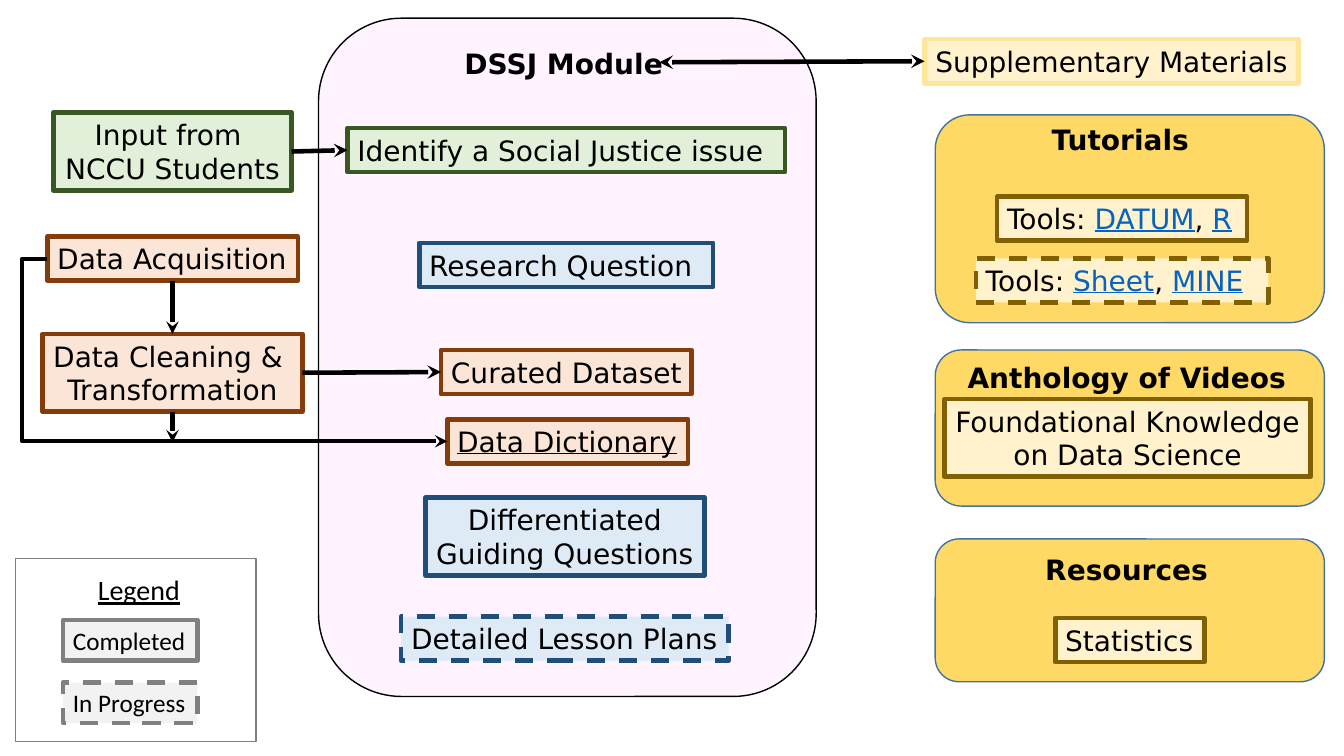
from lxml.etree import SubElement
from pptx import Presentation
from pptx.dml.color import RGBColor
from pptx.enum.dml import MSO_LINE
from pptx.enum.shapes import MSO_CONNECTOR as CONN, MSO_SHAPE as SHAPE
from pptx.enum.text import MSO_ANCHOR, MSO_AUTO_SIZE, PP_ALIGN
from pptx.oxml.ns import qn
from pptx.util import Pt

COLORS = {
    "black": "000000", "white": "FFFFFF", "link": "0563C1",
    "pink": "FFCCFF", "gold": "FFD966", "gold_edge": "43739E", "gray_edge": "808080",
}
# Box styles: fill, outline
STYLES = {
    "green": ("E2F0D9", "385723"),
    "orange": ("FBE5D6", "843C0B"),
    "blue": ("DEEBF7", "1F4E79"),
    "cream": ("FFF2CC", "806000"),
    "light": ("FFF2CC", "FFE699"),
    "gray": ("F2F2F2", "808080"),
}
LINE_W = 3.25
ONE, TWO = 31.5, 55.5  # heights of one-line and two-line boxes
TOP, LEFT, BOTTOM, RIGHT = range(4)


def rgb(color):
    return RGBColor.from_string(COLORS.get(color, color))


class Diagram:
    """Holds the current slide and the text style."""

    def __init__(self, slide, font="DejaVu Sans", size=20):
        self.slide, self.font, self.size = slide, font, size

    def shape(self, kind, x, y, w, h, fill, edge, edge_w):
        sp = self.slide.shapes.add_shape(kind, Pt(x), Pt(y), Pt(w), Pt(h))
        sp.shadow.inherit = False
        sp.fill.solid()
        sp.fill.fore_color.rgb = rgb(fill)
        sp.line.color.rgb = rgb(edge)
        sp.line.width = Pt(edge_w)
        return sp

    def label(self, sp, text, align, bold=False, underline=False):
        """Fill a shape with text; every second part between "|" looks like a link."""
        tf = sp.text_frame
        tf.word_wrap = False
        tf.auto_size = MSO_AUTO_SIZE.NONE
        tf.vertical_anchor = MSO_ANCHOR.MIDDLE
        first, *rest = text.split("|")
        tf.text = first
        for part in rest:
            tf.paragraphs[0].add_run().text = part
        for p in tf.paragraphs:
            p.alignment = align
            for i, r in enumerate(p.runs):
                is_link = bool(rest) and i % 2 == 1
                r.font.name, r.font.size = self.font, Pt(self.size)
                r.font.bold = bold
                r.font.underline = underline or is_link
                r.font.color.rgb = rgb("link" if is_link else "black")

    def box(self, text, style, cx, y, w, h=ONE, dashed=False, underline=False):
        """Outlined label centred on cx."""
        sp = self.shape(SHAPE.RECTANGLE, cx - w / 2, y, w, h, *STYLES[style], LINE_W)
        if dashed:
            sp.line.dash_style = MSO_LINE.DASH
        align = PP_ALIGN.CENTER if h == TWO or style == "light" else PP_ALIGN.LEFT
        self.label(sp, text, align, underline=underline)
        return sp

    def heading(self, text, cx, y, w, bold=True, underline=False):
        sp = self.slide.shapes.add_textbox(Pt(cx - w / 2), Pt(y), Pt(w), Pt(ONE))
        self.label(sp, text, PP_ALIGN.LEFT, bold, underline)

    def title(self, text, cx, y, w):
        sp = self.slide.shapes.title
        sp.left, sp.top, sp.width, sp.height = Pt(cx - w / 2), Pt(y), Pt(w), Pt(ONE)
        self.label(sp, text, PP_ALIGN.LEFT, bold=True)
        self.slide.shapes._spTree.append(sp._element)  # bring above the panel

    def arrow(self, start, end, width=LINE_W, both=False, bend=None):
        """Each end is a point (x, y) or a pair (shape, side)."""
        kind = CONN.STRAIGHT if bend is None else CONN.ELBOW
        points = [(0, 0) if hasattr(e[0], "shape_id") else e for e in (start, end)]
        cn = self.slide.shapes.add_connector(kind, *(Pt(v) for pt in points for v in pt))
        if hasattr(start[0], "shape_id"):
            cn.begin_connect(*start)
        if hasattr(end[0], "shape_id"):
            cn.end_connect(*end)
        cn.line.color.rgb = rgb("black")
        cn.line.width = Pt(width)
        pr = cn._element.spPr
        if bend is not None:
            av = pr.find(qn("a:prstGeom")).get_or_add_avLst()
            SubElement(av, qn("a:gd"), name="adj1", fmla=f"val {bend}")
        ln = pr.find(qn("a:ln"))
        for tag in ("a:headEnd", "a:tailEnd") if both else ("a:tailEnd",):
            SubElement(ln, qn(tag), type="stealth")
        SubElement(pr, qn("a:effectLst"))


def main():
    prs = Presentation()
    prs.slide_width, prs.slide_height = Pt(960), Pt(540)
    slide = prs.slides.add_slide(prs.slide_layouts[5])
    d = Diagram(slide)

    # Module panel with translucent fill
    panel = d.shape(SHAPE.ROUNDED_RECTANGLE, 227.5, 13, 355.5, 484.5, "pink", "black", 1)
    clr = panel._element.spPr.find(qn("a:solidFill"))[0]
    SubElement(clr, qn("a:alpha"), val="23000")
    mid = 404.5
    d.title("DSSJ Module", mid, 29.5, 160)

    # Module steps
    issue = d.box("Identify a Social Justice issue", "green", mid, 91.5, 312.5)
    d.box("Research Question", "blue", mid, 173.5, 210)
    curated = d.box("Curated Dataset", "orange", mid, 250, 179)
    dictionary = d.box("Data Dictionary", "orange", mid + 1, 299.5, 172, underline=True)
    d.box("Differentiated\nGuiding Questions", "blue", mid - 1, 355.5, 199.5, TWO)
    d.box("Detailed Lesson Plans", "blue", mid - 1, 440.5, 234, dashed=True)

    # Inputs on the left
    left = 123.25
    students = d.box("Input from \nNCCU Students", "green", left, 80.5, 170, TWO)
    acquire = d.box("Data Acquisition", "orange", left, 169, 179)
    clean = d.box("Data Cleaning & \nTransformation", "orange", left, 238.5, 185.5, TWO)

    # Supplementary materials on the right
    extras = d.box("Supplementary Materials", "light", 794, 28, 267)
    for y, h in ((82, 148.5), (250, 111.5), (385, 102)):
        d.shape(SHAPE.ROUNDED_RECTANGLE, 668, y, 278, h, "gold", "gold_edge", 1)
    d.heading("Tutorials", 801.5, 83.5, 115)
    d.box("Tools: |DATUM|, |R", "cream", 801.5, 140.5, 178.5)
    d.box("Tools: |Sheet|, |MINE", "cream", 801.5, 184.5, 209, dashed=True)
    d.heading("Anthology of Videos", 805, 253.5, 242)
    d.box("Foundational Knowledge\von Data Science", "cream", 805.5, 285, 261.5, TWO)
    d.heading("Resources", 805, 391, 131)
    d.box("Statistics", "cream", 807, 441.5, 106.5)

    # Arrows
    d.arrow((471, 44.5), (extras, LEFT), both=True)
    d.arrow((students, RIGHT), (issue, LEFT))
    d.arrow((clean, RIGHT), (curated, LEFT))
    d.arrow((acquire, BOTTOM), (clean, TOP), 3)
    d.arrow((clean, BOTTOM), (left, 316), 3)
    d.arrow((acquire, LEFT), (dictionary, LEFT), 3, bend=-6300)

    # Legend
    d.shape(SHAPE.RECTANGLE, 11, 399, 172, 130.5, "white", "gray_edge", 1)
    d.font = "Calibri"
    d.heading("Legend", 99.5, 405.5, 73.5, bold=False, underline=True)
    d.size = 18
    d.box("Completed", "gray", 93, 443, 96, 29)
    d.box("In Progress", "gray", 93, 487.5, 96, 29, dashed=True)

    prs.save("out.pptx")


if __name__ == "__main__":
    main()
